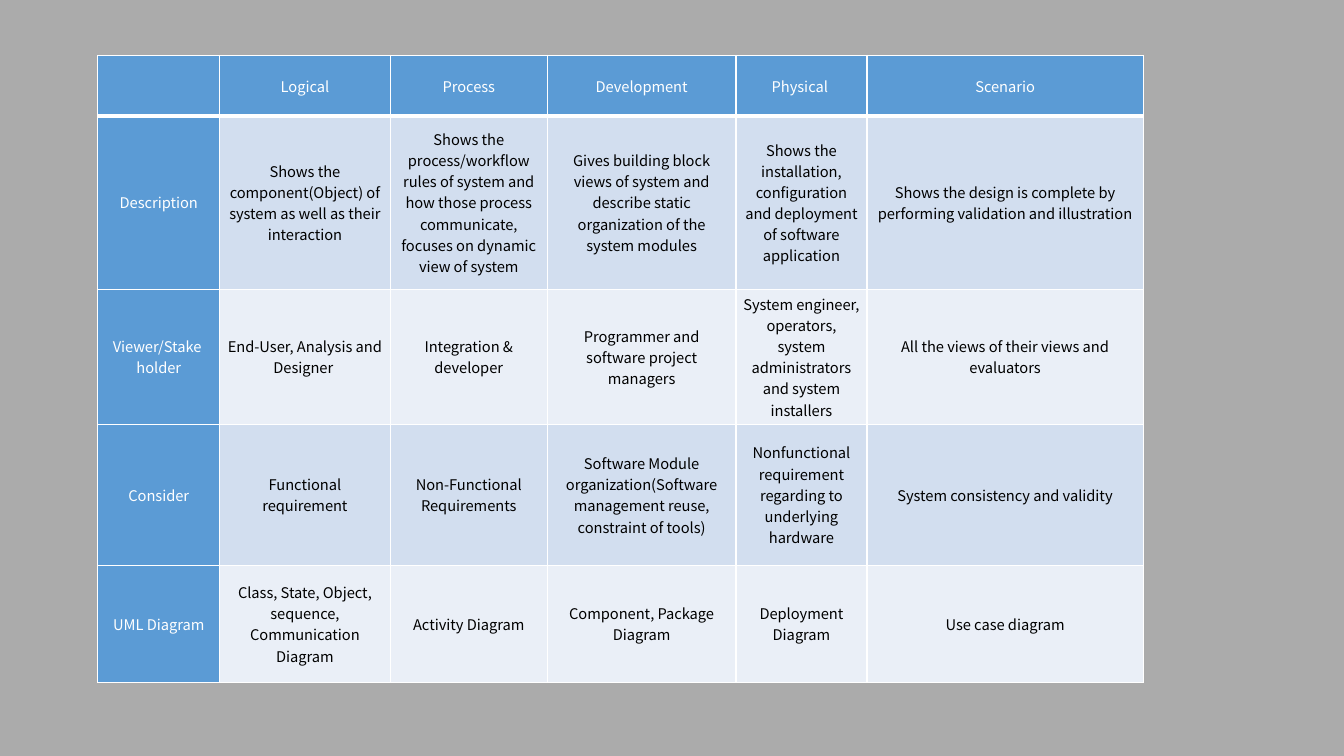
"""Builds a slide with a table that compares five architectural views."""
from lxml import etree
from pptx import Presentation, util as u
from pptx.dml.color import RGBColor
from pptx.enum import shapes, text
from pptx.oxml import ns

COLORS = {"shade": "000000", "head": "5B9BD5", "odd": "D2DEEF", "even": "EAEFF7",
          "light": "FFFFFF", "dark": "000000", "border": "FFFFFF"}
COLUMN_WIDTHS = [1.21, 1.69, 1.56, 1.87, 1.3, 2.74]
ROW_HEIGHTS = [0.6, 1.72, 1.34, 1.4, 1.16]
VIEWS = [
    ["", "Logical", "Process", "Development", "Physical ", "Scenario"],
    ["Description",
     "Shows the component(Object) of system as well as their interaction",
     "Shows the process/workflow rules of system and how those process communicate, "
     "focuses on dynamic view of system",
     "Gives building block views of system and describe static organization of the system modules",
     "Shows the installation, configuration and deployment of software application",
     "Shows the design is complete by performing validation and illustration"],
    ["Viewer/Stake  holder", "End-User, Analysis and Designer ", "Integration & developer",
     "Programmer and software project managers",
     "System engineer, operators, system administrators and system installers",
     "All the views of their views and evaluators"],
    ["Consider", "Functional requirement", "Non-Functional Requirements",
     "Software Module organization(Software management reuse, constraint of tools)",
     "Nonfunctional requirement regarding to underlying hardware",
     "System consistency and validity"],
    ["UML Diagram", "Class, State, Object, sequence, Communication Diagram",
     "Activity Diagram", "Component, Package Diagram", "Deployment Diagram",
     "Use case diagram"],
]


class SlideBuilder:
    """Holds the text style and the page, and adds elements to it."""

    font = {"name": "Noto Sans CJK JP", "size": u.Pt(10.5)}
    cell_format = {"margin_left": u.Inches(0.07), "margin_right": u.Inches(0.07),
                   "margin_top": 0, "margin_bottom": 0,
                   "vertical_anchor": text.MSO_ANCHOR.MIDDLE}

    def __init__(self, page):
        self.page = page

    def paint(self, fill, color):
        """Gives a fill one solid colour."""
        fill.solid()
        fill.fore_color.rgb = RGBColor.from_string(COLORS[color])

    def backdrop(self, width, height, color, opacity):
        """Covers the page with a translucent rectangle."""
        box = self.page.shapes.add_shape(shapes.MSO_SHAPE.RECTANGLE, 0, 0, width, height)
        box.shadow.inherit = False
        box.line.fill.background()
        self.paint(box.fill, color)
        tint = box.fill._xPr.find(".//" + ns.qn("a:srgbClr"))
        etree.SubElement(tint, ns.qn("a:alpha"), val=str(opacity * 1000))

    def borders(self, cell, bottom):
        """Draws the four borders of a cell, widths in points."""
        properties = cell._tc.get_or_add_tcPr()
        widths = {"lnL": 1, "lnR": 1, "lnT": 1, "lnB": bottom}
        for position, (side, width) in enumerate(widths.items()):
            line = etree.Element(ns.qn("a:" + side), w=str(u.Pt(width)))
            solid = etree.SubElement(line, ns.qn("a:solidFill"))
            etree.SubElement(solid, ns.qn("a:srgbClr"), val=COLORS["border"])
            properties.insert(position, line)

    def cell(self, cell, words, fill, color, bottom):
        """Fills and formats one table cell."""
        for name, value in self.cell_format.items():
            setattr(cell, name, value)
        self.paint(cell.fill, fill)
        self.borders(cell, bottom)
        if words:
            para = cell.text_frame.paragraphs[0]
            para.alignment = text.PP_ALIGN.CENTER
            span = para.add_run()
            span.text = words
            for name, value in self.font.items():
                setattr(span.font, name, value)
            span.font.color.rgb = RGBColor.from_string(COLORS[color])

    def table(self, left, top, widths, heights, rows):
        """Adds a table with a header row, a header column and banded rows."""
        table = self.page.shapes.add_table(
            len(heights), len(widths), u.Inches(left), u.Inches(top),
            u.Inches(sum(widths)), u.Inches(sum(heights))).table
        for column, width in zip(table.columns, widths):
            column.width = u.Inches(width)
        for row, height in zip(table.rows, heights):
            row.height = u.Inches(height)
        for r, row in enumerate(rows):
            for c, words in enumerate(row):
                header = r == 0 or c == 0
                band = "odd" if r % 2 else "even"
                self.cell(table.cell(r, c), words, "head" if header else band,
                          "light" if header else "dark", 1 if r else 3)


def main():
    """Builds and saves the deck."""
    deck = Presentation()
    deck.slide_width, deck.slide_height = u.Inches(13.33), u.Inches(7.5)
    builder = SlideBuilder(deck.slides.add_slide(deck.slide_layouts[6]))
    builder.backdrop(deck.slide_width, deck.slide_height, "shade", 33)
    builder.table(0.97, 0.55, COLUMN_WIDTHS, ROW_HEIGHTS, VIEWS)
    deck.save("out.pptx")


if __name__ == "__main__":
    main()
